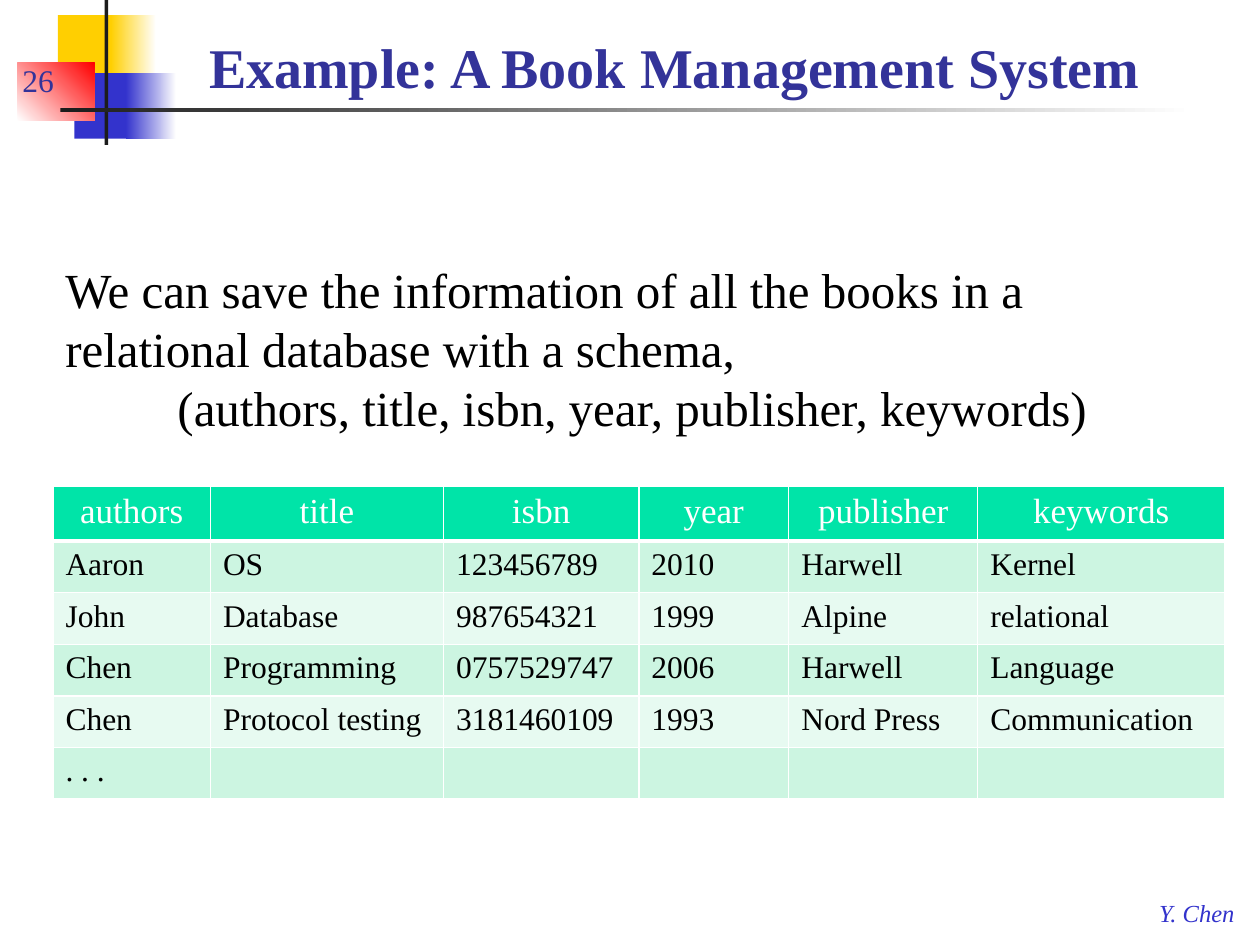
from typing import NamedTuple, Optional

from lxml.etree import SubElement
from pptx import Presentation
from pptx.dml.color import RGBColor
from pptx.enum.shapes import MSO_SHAPE
from pptx.enum.text import MSO_ANCHOR as ANCHOR, MSO_AUTO_SIZE as AUTO, PP_ALIGN as ALIGN
from pptx.oxml.ns import qn
from pptx.util import Inches, Pt

FONT = "Times New Roman"
WHITE = RGBColor(0xFF, 0xFF, 0xFF)
BLACK = RGBColor(0, 0, 0)
YELLOW = RGBColor(0xFF, 0xCF, 0x01)
BLUE = RGBColor(0x33, 0x33, 0xCC)
NAVY = RGBColor(0x33, 0x33, 0x99)
RED = RGBColor(0xFF, 0, 0)
CHARCOAL = RGBColor(0x1C, 0x1C, 0x1C)
HEADER_GREEN = RGBColor(0, 0xE4, 0xA8)
BAND_GREENS = (RGBColor(0xCC, 0xF5, 0xE1), RGBColor(0xE7, 0xFA, 0xF1))


class Box(NamedTuple):
    left: float
    top: float
    width: float
    height: float


class Block(NamedTuple):
    box: Box
    color: RGBColor
    fade_to: Optional[RGBColor] = None
    angle: float = 0


BLOCKS = (
    Block(Box(0.46, 0.12, 0.48, 0.52), YELLOW),
    Block(Box(0.88, 0.12, 0.36, 0.52), YELLOW, WHITE),
    Block(Box(0.59, 0.58, 0.46, 0.52), BLUE),
    Block(Box(1, 0.58, 0.4, 0.52), BLUE, WHITE),
    Block(Box(0.14, 0.5, 0.61, 0.46), WHITE, RED, 45),
    Block(Box(0.83, 0, 0.03, 1.15), CHARCOAL),
    Block(Box(0.48, 0.86, 9, 0.03), CHARCOAL, WHITE),
)

COLUMN_WIDTHS = (1.25, 1.85, 1.55, 1.19, 1.5, 1.96)
HEADER_HEIGHT, ROW_HEIGHT = 0.43, 0.41
BOOKS = (
    ("authors", "title", "isbn", "year", "publisher", "keywords"),
    ("Aaron", "OS", "123456789", "2010", "Harwell", "Kernel"),
    ("John", "Database", "987654321", "1999", "Alpine", "relational"),
    ("Chen", "Programming", "0757529747", "2006", "Harwell", "Language"),
    ("Chen", "Protocol testing", "3181460109", "1993", "Nord Press", "Communication"),
    (". . .", "", "", "", "", ""),
)


def inches(box: Box) -> list:
    return [Inches(v) for v in box]


def add_block(s, block: Block) -> None:
    sp = s.shapes.add_shape(MSO_SHAPE.RECTANGLE, *inches(block.box))
    sp.shadow.inherit = False
    sp.line.fill.background()
    if block.fade_to is None:
        sp.fill.solid()
        sp.fill.fore_color.rgb = block.color
        return
    sp.fill.gradient()
    sp.fill.gradient_angle = block.angle
    for stop, color in zip(sp.fill.gradient_stops, (block.color, block.fade_to)):
        stop.color.rgb = color


def write(p, text: str, size: float, color: RGBColor, align=ALIGN.LEFT, **style) -> None:
    p.alignment = align
    r = p.add_run()
    r.text = text
    r.font.color.rgb = color
    for name, value in {"name": FONT, "size": Pt(size), **style}.items():
        setattr(r.font, name, value)


def add_text_box(s, box: Box, wrap=True, anchor=ANCHOR.TOP):
    tf = s.shapes.add_textbox(*inches(box)).text_frame
    tf.word_wrap = wrap
    tf.vertical_anchor = anchor
    return tf


def set_borders(cell, **widths: float) -> None:
    """Draw white borders, in points, keyed by side L, R, T and B."""
    tc_pr = cell._tc.get_or_add_tcPr()
    for i, side in enumerate("LRTB"):
        ln = SubElement(tc_pr, qn(f"a:ln{side}"), w=str(Pt(widths.get(side, 1))))
        SubElement(SubElement(ln, qn("a:solidFill")), qn("a:srgbClr"), val=str(WHITE))
        tc_pr.insert(i, ln)


def add_book_table(s, left: float, top: float) -> None:
    height = HEADER_HEIGHT + ROW_HEIGHT * (len(BOOKS) - 1)
    box = Box(left, top, sum(COLUMN_WIDTHS), height)
    table = s.shapes.add_table(len(BOOKS), len(COLUMN_WIDTHS), *inches(box)).table
    for column, width in zip(table.columns, COLUMN_WIDTHS):
        column.width = Inches(width)
    for i, book in enumerate(BOOKS):
        header = i == 0
        table.rows[i].height = Inches(HEADER_HEIGHT if header else ROW_HEIGHT)
        for j, text in enumerate(book):
            cell = table.cell(i, j)
            cell.fill.solid()
            cell.fill.fore_color.rgb = HEADER_GREEN if header else BAND_GREENS[(i - 1) % 2]
            set_borders(cell, T=3 if i == 1 else 1, B=3 if header else 1)
            p = cell.text_frame.paragraphs[0]
            if header:
                write(p, text, 20, WHITE, ALIGN.CENTER, bold=False)
            elif text:
                write(p, text, 18, BLACK, bold=False)


def main() -> None:
    prs = Presentation()
    prs.slide_width, prs.slide_height = Inches(10), Inches(7.5)
    s = prs.slides.add_slide(prs.slide_layouts[5])

    for block in BLOCKS:
        add_block(s, block)

    tf = add_text_box(s, Box(9.1, 7.08, 0.82, 0.33), wrap=False)
    write(tf.paragraphs[0], "Y. Chen", 14, BLUE, italic=True)

    title = s.shapes.title
    s.shapes.element.append(title.element)  # in front of the blocks
    title.left, title.top, title.width, title.height = inches(Box(1, 0.17, 8.71, 0.67))
    tf = title.text_frame
    tf.auto_size = AUTO.NONE
    tf.vertical_anchor = ANCHOR.BOTTOM
    write(tf.paragraphs[0], "Example: A Book Management System", 32, NAVY, ALIGN.CENTER, bold=True)

    tf = add_text_box(s, Box(0.08, 0.33, 0.75, 0.5), anchor=ANCHOR.BOTTOM)
    write(tf.paragraphs[0], "26", 18, NAVY)

    tf = add_text_box(s, Box(0.42, 2.01, 9.29, 1.51))
    write(tf.paragraphs[0], "We can save the information of all the books in a "
          "relational database with a schema,", 28, BLACK)
    write(tf.add_paragraph(), "(authors, title, isbn, year, publisher, keywords) ",
          28, BLACK, ALIGN.CENTER)

    add_book_table(s, 0.42, 3.86)
    prs.save("out.pptx")


if __name__ == "__main__":
    main()
